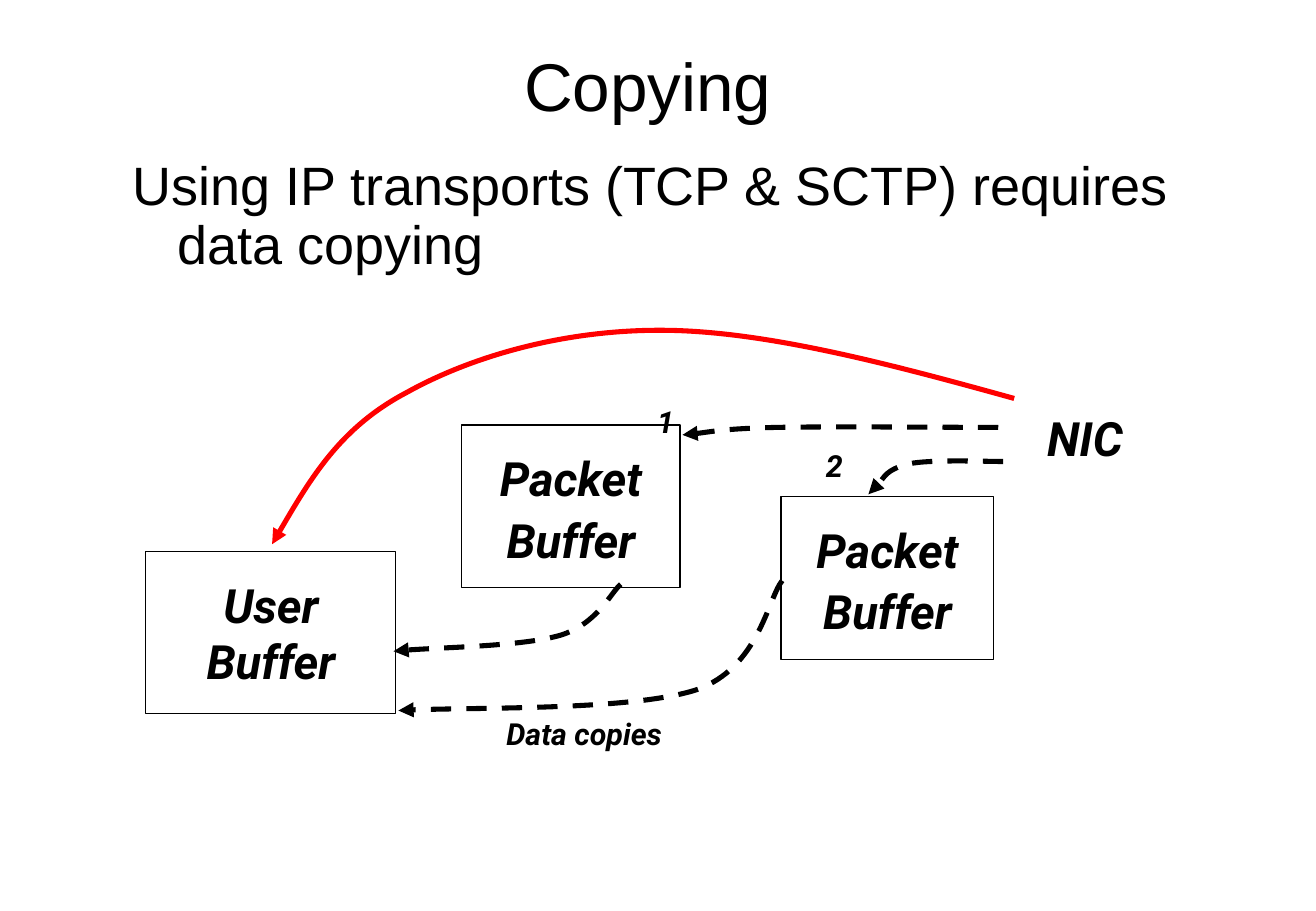
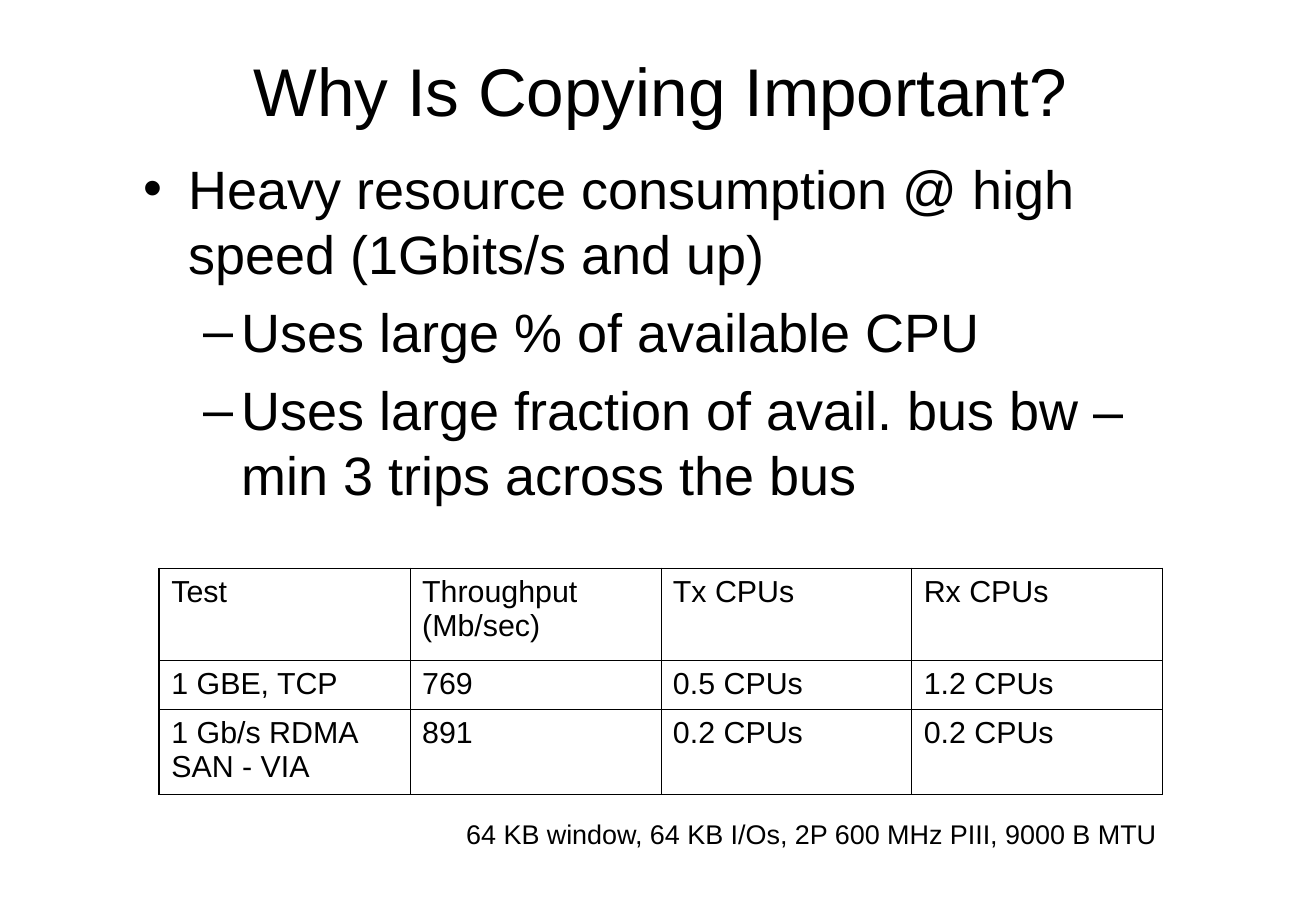
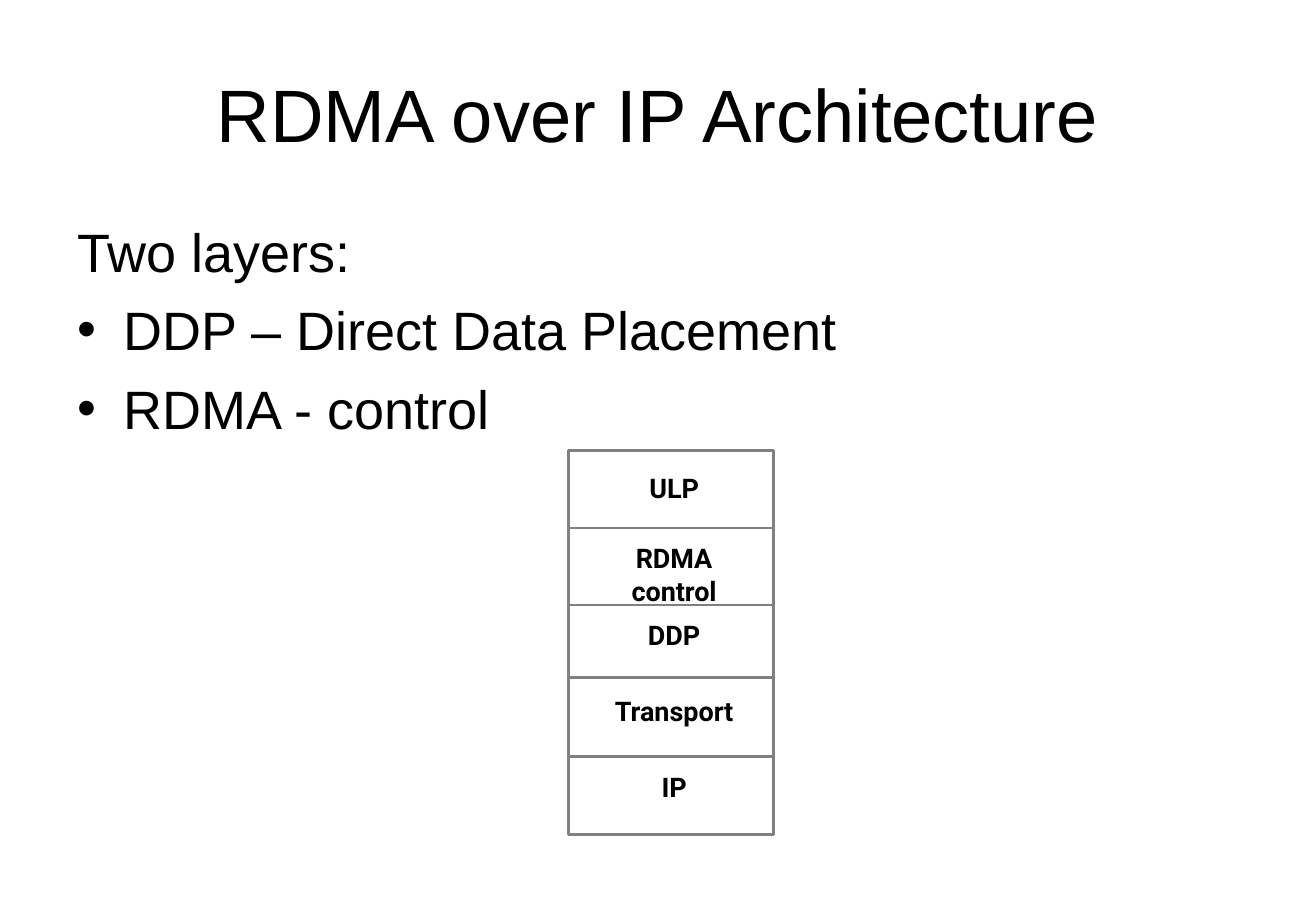
import pptx
import pptx.util
import pptx.dml.color
import pptx.enum.dml
import pptx.enum.shapes
import pptx.enum.text
import pptx.oxml
import pptx.oxml.ns
from lxml import etree

Pt = pptx.util.Pt
qn = pptx.oxml.ns.qn
ALIGN = pptx.enum.text.PP_ALIGN
ANCHOR = pptx.enum.text.MSO_ANCHOR
SHAPE = pptx.enum.shapes.MSO_SHAPE

# Shared look
BLACK = pptx.dml.color.RGBColor(0x00, 0x00, 0x00)
RED = pptx.dml.color.RGBColor(0xFF, 0x00, 0x00)
GREY = pptx.dml.color.RGBColor(0x80, 0x80, 0x80)
TEXT_FONT = "Arial"
LABEL_FONT = "Roboto"
BODY_SIZE = 32
TITLE_ONLY = 5

# Body levels: left margin, hanging indent, bullet
PLAIN = (27, -27, None)
BULLET = (27, -27, "•")
DASH = (58.5, -22.5, "–")


def points(*values):
    return [Pt(value) for value in values]


def set_font(paragraph, name, size, bold=False, italic=False):
    font = paragraph.font
    font.name, font.size = name, Pt(size)
    font.bold, font.italic = bold, italic
    font.color.rgb = BLACK


def add_title(slide, text, box, size=40):
    title = slide.shapes.title
    title.left, title.top, title.width, title.height = points(*box)
    frame = title.text_frame
    frame.text = text
    frame.vertical_anchor = ANCHOR.MIDDLE
    frame.auto_size = pptx.enum.text.MSO_AUTO_SIZE.NONE
    frame.paragraphs[0].alignment = ALIGN.CENTER
    set_font(frame.paragraphs[0], TEXT_FONT, size)


def add_body(slide, box, items, line_spacing=None):
    """Items are pairs of level and text."""
    frame = slide.shapes.add_textbox(*points(*box)).text_frame
    frame.word_wrap = True
    for index, ((margin, indent, bullet), text) in enumerate(items):
        paragraph = frame.add_paragraph() if index else frame.paragraphs[0]
        paragraph.text = text
        properties = paragraph._p.get_or_add_pPr()
        properties.set("marL", str(Pt(margin)))
        properties.set("indent", str(Pt(indent)))
        if bullet:
            etree.SubElement(properties, qn("a:buFont"), typeface=TEXT_FONT)
            etree.SubElement(properties, qn("a:buChar"), char=bullet)
        if index:
            paragraph.space_before = Pt(8)
        if line_spacing:
            paragraph.line_spacing = line_spacing
        set_font(paragraph, TEXT_FONT, BODY_SIZE)


def add_label(shapes, box, text, size, italic=True, wrap=True):
    frame = shapes.add_textbox(*points(*box)).text_frame
    frame.word_wrap = wrap
    paragraph = frame.paragraphs[0]
    paragraph.text = text
    paragraph.alignment = ALIGN.CENTER
    set_font(paragraph, LABEL_FONT, size, bold=True, italic=italic)


def add_outline(shapes, box, color, width):
    shape = shapes.add_shape(SHAPE.RECTANGLE, *points(*box))
    shape.shadow.inherit = False
    shape.fill.background()
    shape.line.color.rgb = color
    shape.line.width = Pt(width)
    return shape


# Copying diagram
def add_buffer(slide, box, lines):
    frame = add_outline(slide.shapes, box, BLACK, 0.75).text_frame
    frame.word_wrap = True
    frame.vertical_anchor = ANCHOR.TOP
    frame.margin_top = frame.margin_bottom = Pt(14.4)
    for index, text in enumerate(lines):
        paragraph = frame.add_paragraph() if index else frame.paragraphs[0]
        paragraph.text = text
        paragraph.alignment = ALIGN.CENTER
        if index:
            paragraph.line_spacing = 0.5
            paragraph.space_before = Pt(17.5)
        set_font(paragraph, LABEL_FONT, 28, bold=True, italic=True)


def add_curved_arrow(slide, curve, color=BLACK, dashed=True):
    """The curve is a start point, then three Bezier points per segment."""
    start, *rest = [points(*point) for point in curve]
    builder = slide.shapes.build_freeform(*start)
    builder.add_line_segments(rest, close=False)
    shape = builder.convert_to_shape()
    shape.shadow.inherit = False
    shape.fill.background()
    shape.line.color.rgb = color
    shape.line.width = Pt(3)
    if dashed:
        shape.line.dash_style = pptx.enum.dml.MSO_LINE.DASH
    etree.SubElement(shape.line._get_or_add_ln(), qn("a:tailEnd"), type="triangle")

    # Join each three straight segments into one cubic segment
    outline = next(shape.element.iter(qn("a:path")))
    segments = outline.findall(qn("a:lnTo"))
    for index in range(0, len(segments), 3):
        cubic = etree.SubElement(outline, qn("a:cubicBezTo"))
        for segment in segments[index:index + 3]:
            cubic.append(segment[0])
            outline.remove(segment)


def add_copy_diagram(slide, left, top):
    def place(x, y, *size):
        return (left + x, top + y, *size)

    add_label(slide.shapes, place(492.2, 44.2, 130, 41), "NIC", 28)
    add_label(slide.shapes, place(296.3, 40.5, 24.5, 28.8), "1", 18, wrap=False)
    add_label(slide.shapes, place(396.4, 66.5, 24.5, 28.8), "2", 18, wrap=False)
    add_label(slide.shapes, place(195.5, 225.6, 129.6, 28.8), "Data copies", 18)

    add_buffer(slide, place(0.4, 132, 148.3, 96), ["User Buffer"])
    for box in ((187.6, 57, 129.6, 96.5), (377, 99.5, 126, 96.5)):
        add_buffer(slide, place(*box), ["Packet", "Buffer"])

    copies = [
        # First packet buffer to user buffer
        [(282, 151.3), (276, 156.4), (268, 175), (246, 181.6),
         (223.6, 188), (167.4, 188.8), (147.3, 191)],
        # Second packet buffer to user buffer
        [(377.7, 149.2), (369, 160), (364, 201), (326.6, 214),
         (288.4, 226.2), (187, 224), (150.2, 226.2)],
        # NIC to first packet buffer
        [(505.8, 58.4), (483.5, 58.4), (404.3, 57.7), (373.4, 58.4),
         (342.4, 59.2), (330.2, 62), (318.6, 62.8)],
        # NIC to second packet buffer
        [(508.7, 78.6), (499.4, 78.6), (465.5, 77.2), (452.6, 80),
         (439, 83.6), (433.8, 94.4), (428.8, 98)],
    ]
    for curve in copies:
        add_curved_arrow(slide, [place(*point) for point in curve])

    direct = [(515.2, 41.2), (442.5, 21), (369, 1.6), (309.3, 0.8),
              (249.5, 0), (194, 16), (155.2, 37.6),
              (115.6, 58.4), (95.4, 93), (75.3, 127.6)]
    add_curved_arrow(slide, [place(*point) for point in direct], RED, dashed=False)


# Results table
def set_borders(cell, widths):
    properties = cell._tc.get_or_add_tcPr()
    for side, width in zip("LRTB", widths):
        line = etree.SubElement(properties, qn("a:ln" + side), w=str(Pt(width)))
        fill = etree.SubElement(line, qn("a:solidFill"))
        etree.SubElement(fill, qn("a:srgbClr"), val=str(BLACK))


def add_results_table(slide, left, top, width, row_heights, rows):
    inner, outer = 0.45, 1.08
    last_row, last_column = len(rows) - 1, len(rows[0]) - 1
    table = slide.shapes.add_table(
        len(rows), len(rows[0]), *points(left, top, width, sum(row_heights))).table
    table.first_row = table.horz_banding = False
    for column in table.columns:
        column.width = Pt(width / len(rows[0]))
    for r, (height, values) in enumerate(zip(row_heights, rows)):
        table.rows[r].height = Pt(height)
        for c, text in enumerate(values):
            cell = table.cell(r, c)
            edges = (c == 0, c == last_column, r == 0, r == last_row)
            set_borders(cell, [outer if edge else inner for edge in edges])
            cell.fill.background()
            cell.text = text
            set_font(cell.text_frame.paragraphs[0], TEXT_FONT, 18)


def add_note(slide, box, text):
    frame = slide.shapes.add_textbox(*points(*box)).text_frame
    frame.word_wrap = False
    frame.text = text
    set_font(frame.paragraphs[0], TEXT_FONT, 16)


# Protocol stack
def add_stack(slide, left, top, width, layers):
    """Layers are label, row height and distance of the label below the row's top."""
    shapes = slide.shapes.add_group_shape().shapes
    total_height = sum(height for _, height, _ in layers)
    add_outline(shapes, (left, top, width, total_height), GREY, 1.5)
    y = top
    for text, height, offset in layers:
        if y > top:
            divider = shapes.add_connector(
                pptx.enum.shapes.MSO_CONNECTOR.STRAIGHT,
                *points(left, y, left + width, y))
            divider.line.color.rgb = GREY
            divider.line.width = Pt(1.5)
            etree.SubElement(divider.element.spPr, qn("a:effectLst"))
        add_label(shapes, (left + 7.2, y + offset, 110.9, 26.6), text, 16, italic=False)
        y += height


# Slides
def build_copying(slide):
    add_title(slide, "Copying", (33, 23, 702, 54.7))
    add_body(slide, (71.3, 90.7, 643.7, 80.6),
             [(PLAIN, "Using IP transports (TCP & SCTP) requires data copying")],
             line_spacing=0.9)
    add_copy_diagram(slide, 86, 195)


def build_importance(slide):
    add_title(slide, "Why Is Copying Important?", (40.3, 24.5, 702, 57.6))
    add_body(slide, (77.8, 88.6, 643.7, 215.3), [
        (BULLET, "Heavy resource consumption @ high speed (1Gbits/s and up)"),
        (DASH, "Uses large % of available CPU"),
        (DASH, "Uses large fraction of avail. bus bw – min 3 trips across the bus"),
    ])
    add_results_table(slide, 94.4, 337, 594.8, (54.7, 28.8, 50.4), [
        ("Test", "Throughput (Mb/sec)", "Tx CPUs", "Rx CPUs"),
        ("1 GBE, TCP", "769", "0.5 CPUs", "1.2 CPUs"),
        ("1 Gb/s RDMA SAN - VIA", "891", "0.2 CPUs", "0.2 CPUs"),
    ])
    add_note(slide, (269.3, 481, 424.8, 26.6),
             "64 KB window, 64 KB I/Os, 2P 600 MHz PIII, 9000 B MTU")


def build_architecture(slide):
    add_title(slide, "RDMA over IP Architecture", (39, 21.6, 702, 90), size=44)
    add_body(slide, (39, 126, 702, 356.4), [
        (PLAIN, "Two layers:"),
        (BULLET, "DDP – Direct Data Placement"),
        (BULLET, "RDMA - control"),
    ])
    add_stack(slide, 337, 267.1, 121.4, [
        ("ULP", 46, 8.7),
        ("RDMA control", 45.4, 4.5),
        ("DDP", 43.2, 4.5),
        ("Transport", 46.8, 6.5),
        ("IP", 46.1, 4.5),
    ])


def main():
    presentation = pptx.Presentation()
    presentation.slide_width = Pt(780.125)
    presentation.slide_height = Pt(540)
    layout = presentation.slide_layouts[TITLE_ONLY]
    for build in (build_copying, build_importance, build_architecture):
        build(presentation.slides.add_slide(layout))
    presentation.save("out.pptx")


if __name__ == "__main__":
    main()
